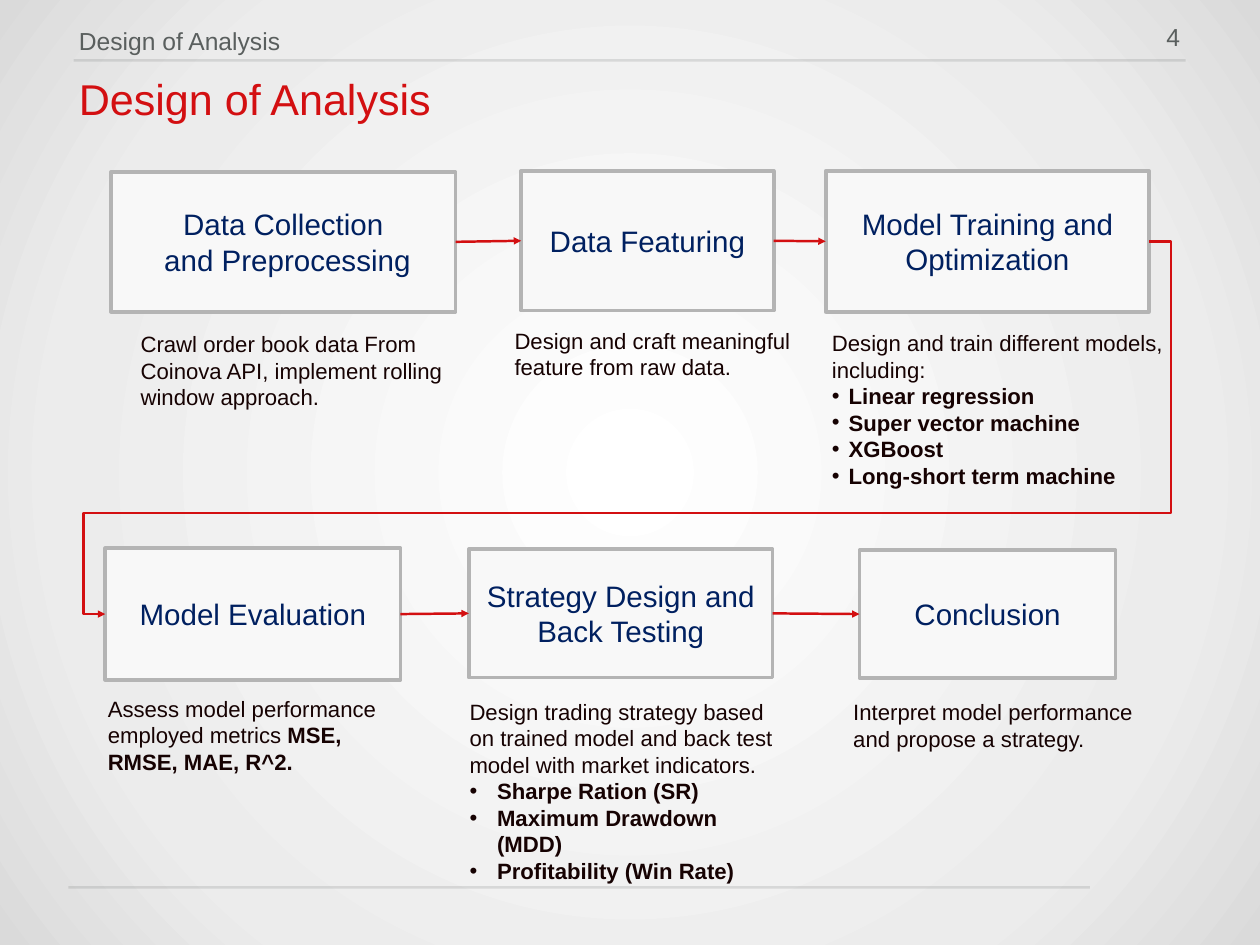
from pptx import Presentation
from pptx.dml.color import RGBColor
from pptx.enum.shapes import MSO_CONNECTOR, MSO_SHAPE
from pptx.enum.text import MSO_ANCHOR, MSO_AUTO_SIZE, PP_ALIGN
from pptx.oxml import parse_xml
from pptx.oxml.ns import nsdecls, qn
from pptx.oxml.xmlchemy import OxmlElement
from pptx.util import Cm, Pt


def rgb(value):
    return RGBColor.from_string(value)


def add_xml(parent, tag, **attrs):
    child = OxmlElement(tag)
    for name, value in attrs.items():
        child.set(name, str(value))
    parent.append(child)
    return child


class FlowSlide:
    FONT = "Arial"
    GREY, RED, NAVY, INK = "5A5F5E", "D30F11", "002060", "160202"
    BOX_FILL, BOX_LINE = "F8F8F8", "B4B4B4"

    def __init__(self, prs):
        self.s = prs.slides.add_slide(prs.slide_layouts[6])

    def background(self, stops):
        self.s.background.fill.solid()
        bg = self.s._element.find(".//" + qn("p:bgPr"))
        gs = "".join(
            f'<a:gs pos="{pos * 1000}"><a:srgbClr val="{color}"/></a:gs>' for pos, color in stops
        )
        bg.replace(bg[0], parse_xml(
            f'<a:gradFill {nsdecls("a")} rotWithShape="1"><a:gsLst>{gs}</a:gsLst>'
            '<a:path path="circle"><a:fillToRect l="50000" t="50000" r="50000" b="50000"/>'
            '</a:path></a:gradFill>'
        ))

    def run(self, p, text, size, color, bold=False):
        r = p.add_run()
        r.text = text
        r.font.name = self.FONT
        r.font.size = Pt(size)
        r.font.bold = bold
        r.font.color.rgb = rgb(color)

    def heading(self, area, text, size, color, align=PP_ALIGN.LEFT, spacing=1.0, before=0):
        tf = self.s.shapes.add_textbox(*map(Cm, area)).text_frame
        tf.word_wrap = True
        tf.margin_left = tf.margin_right = tf.margin_top = tf.margin_bottom = Cm(0.15)
        p = tf.paragraphs[0]
        p.alignment = align
        p.line_spacing = spacing
        p.space_before = Pt(before)
        self.run(p, text, size, color)

    def box(self, area, lines):
        sp = self.s.shapes.add_shape(MSO_SHAPE.RECTANGLE, *map(Cm, area))
        sp.shadow.inherit = False
        sp.fill.solid()
        sp.fill.fore_color.rgb = rgb(self.BOX_FILL)
        sp.line.color.rgb = rgb(self.BOX_LINE)
        sp.line.width = Pt(3)
        tf = sp.text_frame
        tf.word_wrap = True
        tf.vertical_anchor = MSO_ANCHOR.MIDDLE
        for i, line in enumerate(lines):
            p = tf.add_paragraph() if i else tf.paragraphs[0]
            p.alignment = PP_ALIGN.CENTER
            self.run(p, line, 24, self.NAVY)
        return sp

    def caption(self, area, text, strong="", bullets=(), indent=0):
        tf = self.s.shapes.add_textbox(*map(Cm, area)).text_frame
        tf.word_wrap = True
        tf.auto_size = MSO_AUTO_SIZE.SHAPE_TO_FIT_TEXT
        p = tf.paragraphs[0]
        self.run(p, text, 18, self.INK)
        if strong:
            self.run(p, strong, 18, self.INK, True)
        for item in bullets:
            p = tf.add_paragraph()
            pPr = p._p.get_or_add_pPr()
            pPr.set("marL", str(Cm(indent)))
            pPr.set("indent", str(-Cm(indent)))
            add_xml(pPr, "a:buFont", typeface=self.FONT)
            add_xml(pPr, "a:buChar", char="•")
            self.run(p, item, 18, self.INK, True)

    def line(self, ends, color, kind=MSO_CONNECTOR.STRAIGHT):
        cx = self.s.shapes.add_connector(kind, *map(Cm, ends))
        cx.line.color.rgb = rgb(color)
        cx.line.width = Pt(2)
        add_xml(cx._element.spPr, "a:effectLst")
        return cx

    def rule(self, left, right, y):
        cx = self.line((left, y, right, y), self.GREY)
        add_xml(cx._element.find(".//" + qn("a:srgbClr")), "a:alpha", val=16000)

    def arrow(self, start, end, bends=()):
        kind = MSO_CONNECTOR.ELBOW if bends else MSO_CONNECTOR.STRAIGHT
        cx = self.line((0, 0, 1, 1), self.RED, kind)
        cx.begin_connect(start, 3)
        cx.end_connect(end, 1)
        add_xml(cx.line._get_or_add_ln(), "a:tailEnd", type="triangle")
        if bends:
            geom = cx._element.spPr.find(qn("a:prstGeom"))
            geom.set("prst", "bentConnector5")
            guides = geom.find(qn("a:avLst"))
            for i, bend in enumerate(bends, 1):
                add_xml(guides, "a:gd", name=f"adj{i}", fmla=f"val {bend}")


def main():
    prs = Presentation()
    prs.slide_width, prs.slide_height = Cm(36.12), Cm(27.1)
    flow = FlowSlide(prs)
    flow.background([(0, "FFFFFF"), (73, "ECECEC"), (100, "DADADA")])
    flow.rule(2.11, 33.99, 1.73)
    flow.rule(1.96, 31.24, 25.45)
    flow.heading((32.61, 0.58, 1.37, 1.12), "4", 20, flow.GREY, PP_ALIGN.RIGHT, 0.9, 12)
    flow.heading((2.11, 0.58, 26.39, 1.14), "Design of Analysis", 20, flow.GREY, before=12)
    flow.heading((2.11, 2.11, 31.85, 1.7), "Design of Analysis", 35, flow.RED, spacing=0.9)

    steps = [
        ((3.18, 4.93, 9.88, 4.01), ["Data Collection", " and Preprocessing"]),
        ((14.94, 4.9, 7.24, 4.01), ["Data Featuring"]),
        ((23.67, 4.9, 9.27, 4.04), ["Model Training and Optimization"]),
        ((3.02, 15.72, 8.46, 3.78), ["Model Evaluation"]),
        ((13.44, 15.75, 8.71, 3.68), ["Strategy Design and Back Testing"]),
        ((24.64, 15.77, 7.34, 3.68), ["Conclusion"]),
    ]
    boxes = [flow.box(area, lines) for area, lines in steps]

    captions = [
        ((3.78, 9.35, 9.4, 2.57),
         "Crawl order book data From Coinova API, implement rolling window approach."),
        ((14.5, 9.25, 9.4, 1.8), "Design and craft meaningful feature from raw data."),
        ((23.6, 9.32, 10.26, 4.88), "Design and train different models, including:", "",
         ["Linear regression", "Super vector machine", "XGBoost", "Long-short term machine"], 0.48),
        ((2.84, 19.81, 8.66, 2.57), "Assess model performance employed metrics ",
         "MSE, RMSE, MAE, R^2."),
        ((13.21, 19.89, 9.3, 4.88),
         "Design trading strategy based on trained model and back test model with market indicators.",
         "", ["Sharpe Ration (SR)", "Maximum Drawdown (MDD)", "Profitability (Win Rate)"], 0.79),
        ((24.21, 19.91, 8.56, 1.8), "Interpret model performance and propose a strategy."),
    ]
    for caption in captions:
        flow.caption(*caption)

    for i, (start, end) in enumerate(zip(boxes, boxes[1:])):
        flow.arrow(start, end, (-2100, 72900, 102100) if i == 2 else ())
    prs.save("out.pptx")


if __name__ == "__main__":
    main()
